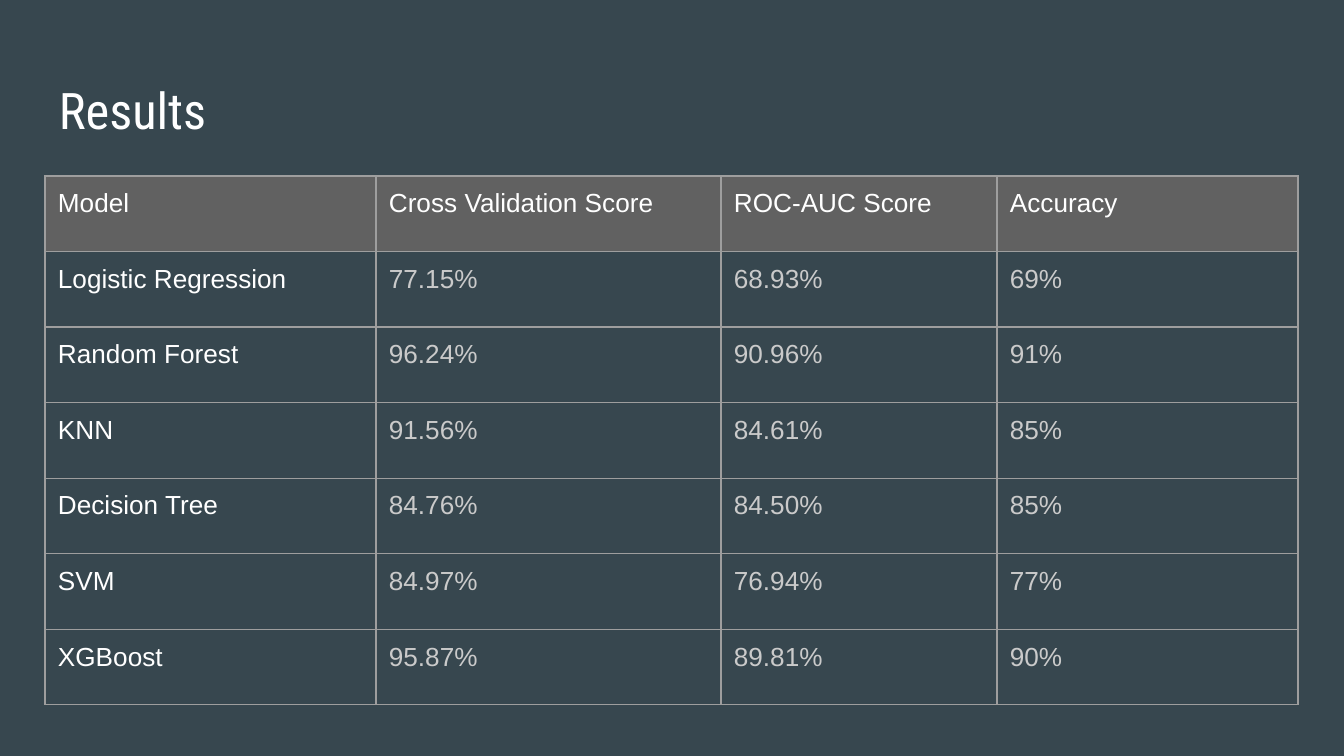
from lxml import etree
from pptx import Presentation
from pptx import util as u
from pptx.dml import color
from pptx.enum import text
from pptx.oxml import ns

SCALE = u.Inches(10) / 1344
INSET = 13
TABLE_HEIGHT = 529
COLUMN_WIDTHS = [331, 345, 276, 301]
WHITE, SILVER = "FFFFFF", "CACACA"
BACKGROUND, HEADER, BORDER = "37474F", "616161", "9E9E9E"

RESULTS = [
    ("Model", "Cross Validation Score", "ROC-AUC Score", "Accuracy"),
    ("Logistic Regression", "77.15%", "68.93%", "69%"),
    ("Random Forest", "96.24%", "90.96%", "91%"),
    ("KNN", "91.56%", "84.61%", "85%"),
    ("Decision Tree", "84.76%", "84.50%", "85%"),
    ("SVM", "84.97%", "76.94%", "77%"),
    ("XGBoost", "95.87%", "89.81%", "90%"),
]


def px(length):
    return u.Emu(round(length * SCALE))


def paint(target, shade, words=None, font=None, size=None):
    if words is None:
        target.solid()
        target.fore_color.rgb = color.RGBColor.from_string(shade)
        return
    span = target.paragraphs[0].add_run()
    span.text = words
    span.font.name = font
    span.font.size = u.Pt(size)
    span.font.color.rgb = color.RGBColor.from_string(shade)


deck = Presentation()
deck.slide_width, deck.slide_height = px(1344), px(756)
page = deck.slides.add_slide(deck.slide_layouts[6])
paint(page.background.fill, BACKGROUND)

title = page.shapes.add_textbox(px(46), px(66), px(1252), px(85))
frame = title.text_frame
frame.word_wrap = True
frame.vertical_anchor = text.MSO_ANCHOR.TOP
frame.margin_left = frame.margin_right = px(INSET)
frame.margin_top = frame.margin_bottom = px(INSET)
paint(frame, WHITE, "Results", "Roboto Condensed", 27)

holder = page.shapes.add_table(
    len(RESULTS), len(COLUMN_WIDTHS), px(45), px(176), px(sum(COLUMN_WIDTHS)), px(TABLE_HEIGHT)
)
table = holder.table
table.first_row = table.horz_banding = False
for column, width in zip(table.columns, COLUMN_WIDTHS):
    column.width = px(width)

for row_index, entries in enumerate(RESULTS):
    table.rows[row_index].height = px(TABLE_HEIGHT / len(RESULTS))
    for column_index, entry in enumerate(entries):
        cell = table.cell(row_index, column_index)
        cell.margin_left = cell.margin_right = px(INSET)
        cell.margin_top = cell.margin_bottom = px(INSET)
        is_label = row_index == 0 or column_index == 0
        paint(cell.text_frame, WHITE if is_label else SILVER, entry, "Arial", 14)
        properties = cell._tc.get_or_add_tcPr()
        for side in ("a:lnL", "a:lnR", "a:lnT", "a:lnB"):
            line = etree.SubElement(properties, ns.qn(side), w=str(u.Pt(0.75)))
            solid = etree.SubElement(line, ns.qn("a:solidFill"))
            etree.SubElement(solid, ns.qn("a:srgbClr"), val=BORDER)
        if row_index == 0:
            paint(cell.fill, HEADER)
        else:
            cell.fill.background()

deck.save("out.pptx")
